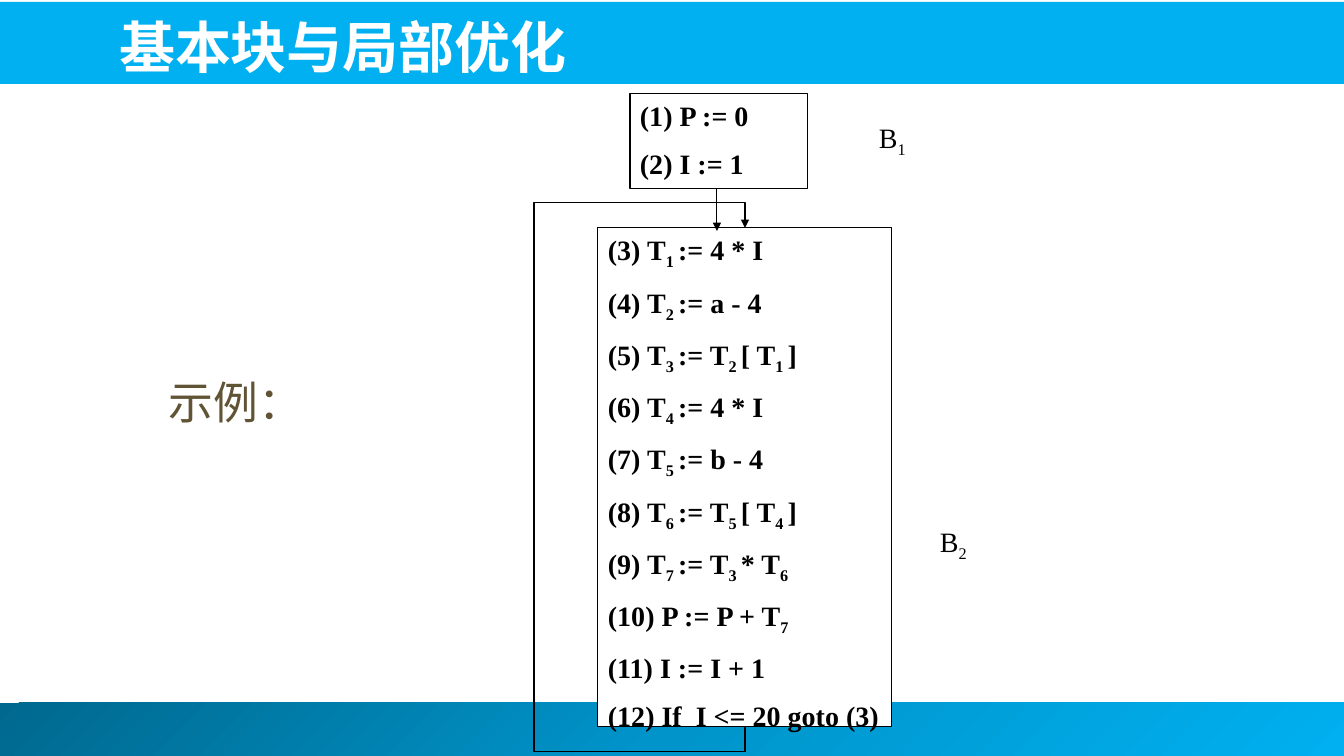
import copy
import lxml.etree
import pptx
import pptx.dml.color
import pptx.enum.shapes
import pptx.enum.text
import pptx.oxml.ns
import pptx.util

PIXEL = 12192000 / 1344
RECTANGLE = pptx.enum.shapes.MSO_SHAPE.RECTANGLE
THEME = {
    "title": {"name": "Noto Sans CJK JP", "size": 40, "color": "FFFFFF", "bold": True},
    "example": {"name": "Noto Sans CJK JP", "size": 32, "color": "605435", "bold": False},
    "code": {"name": "Times New Roman", "size": 20, "color": "000000", "bold": True},
    "label": {"name": "Times New Roman", "size": 20, "color": "000000", "bold": False},
    "band": "00B0F0",
    "footer": [(0, "00688E"), (0.5, "0094CA"), (1, "00B0F0")],
    "box": "FFFFFF",
    "line": "000000",
    "line_width": 0.75,
}


def write_text(shape, lines, style, space_before=0, hanging=0):
    frame = shape.text_frame
    frame.word_wrap = True
    settings = {"size": pptx.util.Pt(style["size"]), "bold": style["bold"], "name": style["name"]}
    for index, line in enumerate(lines):
        paragraph = frame.add_paragraph() if index else frame.paragraphs[0]
        paragraph.alignment = pptx.enum.text.PP_ALIGN.LEFT
        properties = paragraph._p.get_or_add_pPr()
        if hanging:
            properties.set("marL", str(round(hanging * PIXEL)))
            properties.set("indent", str(round(-hanging * PIXEL)))
        spacing = lxml.etree.SubElement(properties, pptx.oxml.ns.qn("a:spcBef"))
        percent = lxml.etree.SubElement(spacing, pptx.oxml.ns.qn("a:spcPct"))
        percent.set("val", str(space_before * 1000))
        for position, part in enumerate(line.split("|")):
            if not part:
                continue
            run = paragraph.add_run()
            run.text = part
            for name, value in settings.items():
                setattr(run.font, name, value)
            run.font.color.rgb = pptx.dml.color.RGBColor.from_string(style["color"])
            run_properties = run._r.get_or_add_rPr()
            east_asian = lxml.etree.SubElement(run_properties, pptx.oxml.ns.qn("a:ea"))
            east_asian.set("typeface", style["name"])
            if position % 2:
                run_properties.set("baseline", "-25000")


def format_line(shape, arrow=False):
    shape.line.color.rgb = pptx.dml.color.RGBColor.from_string(THEME["line"])
    shape.line.width = pptx.util.Pt(THEME["line_width"])
    if arrow:
        tail = lxml.etree.SubElement(shape.line._get_or_add_ln(), pptx.oxml.ns.qn("a:tailEnd"))
        tail.set("type", "triangle")


presentation = pptx.Presentation()
presentation.slide_width = round(1344 * PIXEL)
presentation.slide_height = round(756 * PIXEL)
slide = presentation.slides.add_slide(presentation.slide_layouts[5])
title = slide.shapes.title

bands = []
for bounds in [(-5, 703, 1350, 53), (-2, 2, 1347, 82)]:
    band = slide.shapes.add_shape(RECTANGLE, *[round(value * PIXEL) for value in bounds])
    band.shadow.inherit = False
    band.line.fill.background()
    title.element.addprevious(band.element)
    bands.append(band)
footer_band, title_band = bands

title_band.fill.solid()
title_band.fill.fore_color.rgb = pptx.dml.color.RGBColor.from_string(THEME["band"])
footer_band.fill.gradient()
footer_band.fill.gradient_angle = 315
first_stop = footer_band.element.find(".//" + pptx.oxml.ns.qn("a:gs"))
first_stop.addnext(copy.deepcopy(first_stop))
for stop, (position, color) in zip(footer_band.fill.gradient_stops, THEME["footer"]):
    stop.position = position
    stop.color.rgb = pptx.dml.color.RGBColor.from_string(color)

placement = {"left": 109, "top": 5, "width": 1190, "height": 80}
for name, value in placement.items():
    setattr(title, name, round(value * PIXEL))
title.text_frame.vertical_anchor = pptx.enum.text.MSO_ANCHOR.BOTTOM
title.text_frame.auto_size = pptx.enum.text.MSO_AUTO_SIZE.NONE
write_text(title, ["基本块与局部优化"], THEME["title"])

labels = [
    ((159, 370, 163, 72), "示例：", "example", 20),
    ((869, 116, 64, 43), "B|1", "label", 50),
    ((930, 520, 57, 43), "B|2", "label", 50),
]
for bounds, text, style, space_before in labels:
    label = slide.shapes.add_textbox(*[round(value * PIXEL) for value in bounds])
    write_text(label, [text], THEME[style], space_before)

basic_blocks = [
    ((630, 94, 178, 95), ["(1) P := 0", "(2) I := 1"]),
    ((598, 228, 294, 499), [
        "(3) T|1 |:= 4 * I",
        "(4) T|2 |:= a - 4",
        "(5) T|3 |:= T|2 |[ T|1 |]",
        "(6) T|4 |:= 4 * I",
        "(7) T|5 |:= b - 4",
        "(8) T|6 |:= T|5 |[ T|4 |]",
        "(9) T|7 |:= T|3 |* T|6",
        "(10) P := P + T|7",
        "(11) I := I + 1",
        "(12) If  I <= 20 goto (3)",
    ]),
]
for bounds, lines in basic_blocks:
    block = slide.shapes.add_shape(RECTANGLE, *[round(value * PIXEL) for value in bounds])
    block.shadow.inherit = False
    block.fill.solid()
    block.fill.fore_color.rgb = pptx.dml.color.RGBColor.from_string(THEME["box"])
    format_line(block)
    block.text_frame.vertical_anchor = pptx.enum.text.MSO_ANCHOR.TOP
    write_text(block, lines, THEME["code"], 50, 50)

entry_arrow = slide.shapes.add_connector(
    pptx.enum.shapes.MSO_CONNECTOR.STRAIGHT,
    *[round(value * PIXEL) for value in (717, 189, 717, 231)],
)
lxml.etree.SubElement(entry_arrow.element.spPr, pptx.oxml.ns.qn("a:effectLst"))
format_line(entry_arrow, arrow=True)

loop_path = slide.shapes.build_freeform(745, 727, scale=PIXEL)
loop_path.add_line_segments([(745, 752), (534, 752), (534, 203), (745, 203), (745, 228)], close=False)
loop_arrow = loop_path.convert_to_shape()
loop_arrow.shadow.inherit = False
loop_arrow.fill.background()
format_line(loop_arrow, arrow=True)

presentation.save("out.pptx")
